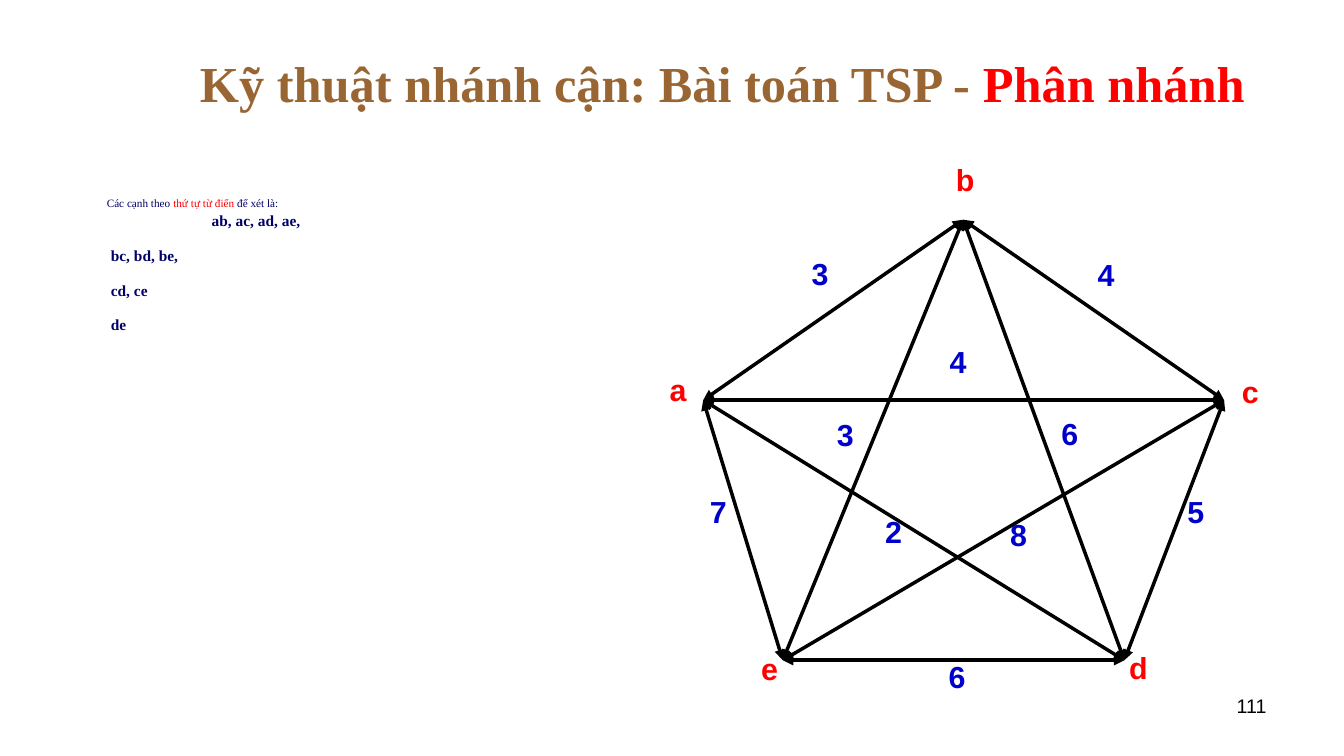
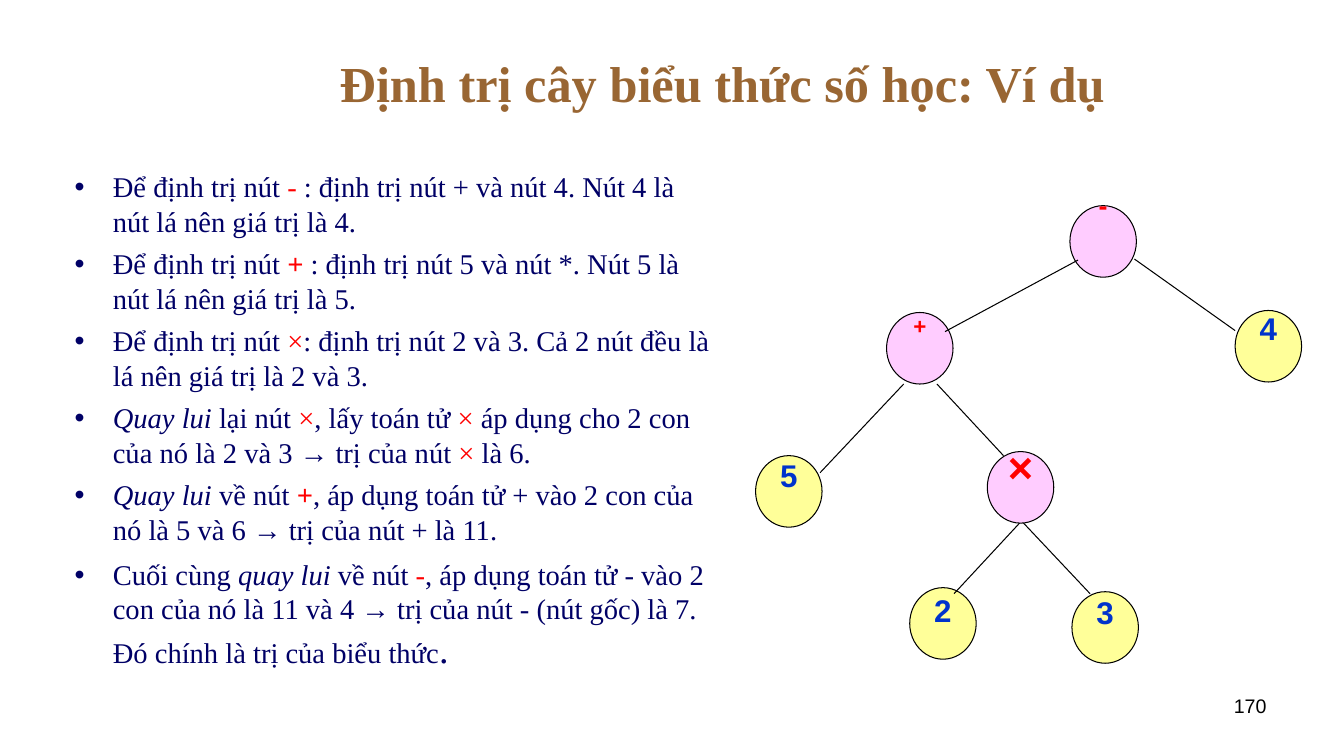
"""Build two slides on branch and bound and on evaluating an expression tree."""
import pptx
import pptx.dml.color
import pptx.enum.shapes
import pptx.enum.text
import pptx.oxml
import pptx.oxml.ns
import pptx.util

RGB = pptx.dml.color.RGBColor
BLACK = RGB(0x00, 0x00, 0x00)
BROWN = RGB(0x99, 0x66, 0x33)
NAVY = RGB(0x00, 0x00, 0x66)
RED = RGB(0xFF, 0x00, 0x00)
WEIGHT_BLUE = RGB(0x00, 0x00, 0xCC)
LEAF_BLUE = RGB(0x00, 0x33, 0xCC)
PINK = RGB(0xFF, 0xCC, 0xFF)
YELLOW = RGB(0xFF, 0xFF, 0x99)
SERIF, SANS = "Times New Roman", "Arial"
CENTER = pptx.enum.text.PP_ALIGN.CENTER
RIGHT = pptx.enum.text.PP_ALIGN.RIGHT
COLUMNS, ROWS = 133.4, 75


class Deck:
    """Hold the shared style and the current slide on a grid of tenths of an inch."""

    def __init__(self):
        self.show = pptx.Presentation()
        self.show.slide_width = self.cells(COLUMNS)
        self.show.slide_height = self.cells(ROWS)
        self.slide = None

    @staticmethod
    def cells(count):
        """Turn a number of grid cells into a length."""
        return pptx.util.Inches(count / 10)

    def place(self, part, left, top, width, height):
        """Move a part to its grid cells."""
        part.left, part.top = self.cells(left), self.cells(top)
        part.width, part.height = self.cells(width), self.cells(height)

    def style(self, run, font, size, color, bold=False, italic=False):
        """Format one run."""
        run.font.name, run.font.size = font, pptx.util.Pt(size)
        run.font.bold, run.font.italic = bold, italic
        run.font.color.rgb = color

    def add_pieces(self, paragraph, pieces, font, size, color, bold=False):
        """Add pieces of (text, flags): r red, b bold, i italic, L large."""
        for text, flags in pieces:
            run = paragraph.add_run()
            run.text = text
            self.style(run, font, size * 4 / 3 if "L" in flags else size,
                       RED if "r" in flags else color,
                       bold or "b" in flags, "i" in flags)

    def start(self, title, number):
        """Add a slide with its title and page number."""
        self.slide = self.show.slides.add_slide(self.show.slide_layouts[1])
        heading = self.slide.shapes.title
        self.place(heading, 16.7, 3, 110, 10.3)
        frame = heading.text_frame
        frame.auto_size = pptx.enum.text.MSO_AUTO_SIZE.NONE
        frame.vertical_anchor = pptx.enum.text.MSO_ANCHOR.MIDDLE
        frame.paragraphs[0].alignment = CENTER
        self.add_pieces(frame.paragraphs[0], title, SERIF, 36, BROWN, True)
        self.label(number, 95.6, 68.3, 31.1, 5.2, 14, BLACK, bold=False,
                   align=RIGHT, margins=(1, 0.5), spacing=1)

    def body(self, box, paragraphs, bullets):
        """Fill the body with (pieces, size, bold, indent, space before)."""
        holder = self.slide.placeholders[1]
        self.place(holder, *box)
        frame = holder.text_frame
        frame.auto_size = pptx.enum.text.MSO_AUTO_SIZE.NONE
        for index, (pieces, size, bold, indent, before) in enumerate(paragraphs):
            line = frame.add_paragraph() if index else frame.paragraphs[0]
            properties = line._p.get_or_add_pPr()
            properties.set("marL", str(self.cells(indent)))
            properties.set("indent", str(-self.cells(indent) if bullets else 0))
            line.space_before = pptx.util.Pt(before if index else 0)
            if not bullets:
                properties.append(pptx.oxml.parse_xml(
                    f"<a:buNone {pptx.oxml.ns.nsdecls('a')}/>"))
            self.add_pieces(line, pieces, SERIF, size, NAVY, bold)

    def label(self, text, left, top, width, height, size, color, bold=True,
              align=CENTER, margins=(0, 0), spacing=0.8):
        """Add a one-line text box."""
        box = self.slide.shapes.add_textbox(0, 0, 0, 0)
        self.place(box, left, top, width, height)
        frame = box.text_frame
        frame.word_wrap = True
        frame.margin_left = frame.margin_right = self.cells(margins[0])
        frame.margin_top = frame.margin_bottom = self.cells(margins[1])
        frame.text = text
        line = frame.paragraphs[0]
        line.alignment, line.line_spacing = align, spacing
        self.style(line.runs[0], SANS, size, color, bold)

    def edge(self, start, end, width=0.75, arrows=False):
        """Draw a straight line, with arrowheads at both ends if asked."""
        link = self.slide.shapes.add_connector(
            pptx.enum.shapes.MSO_CONNECTOR.STRAIGHT,
            *(self.cells(value) for value in (*start, *end)))
        link.line.color.rgb = BLACK
        link.line.width = pptx.util.Pt(width)
        namespace = pptx.oxml.ns.nsdecls("a")
        properties = link._element.spPr
        if arrows:
            outline = properties.get_or_add_ln()
            for tip in ("headEnd", "tailEnd"):
                outline.append(pptx.oxml.parse_xml(
                    f'<a:{tip} {namespace} type="triangle"/>'))
        properties.append(pptx.oxml.parse_xml(f"<a:effectLst {namespace}/>"))

    def node(self, left, top, symbol, drop, size, fill, color):
        """Draw a tree node with its symbol near the top."""
        circle = self.slide.shapes.add_shape(
            pptx.enum.shapes.MSO_SHAPE.OVAL, 0, 0, 0, 0)
        self.place(circle, left, top, 6.6, 7.1)
        circle.shadow.inherit = False
        circle.fill.solid()
        circle.fill.fore_color.rgb = fill
        circle.line.color.rgb = BLACK
        circle.line.width = pptx.util.Pt(0.75)
        self.label(symbol, left + 1.3, top + drop, 4, 3.7, size, color)


def branching(deck):
    """Show the weighted graph and the order of its edges."""
    deck.start([("Kỹ thuật nhánh cận: Bài toán TSP - ", ""), ("Phân nhánh", "r")], "111")
    intro = [("Các cạnh theo ", ""), ("thứ tự từ điển ", "r"), ("để xét là:", "")]
    deck.body((5.8, 19, 87.5, 10.1), [
        (intro, 8, False, 3.8, 0),
        ([("ab, ac, ad, ae,", "")], 11, True, 14.2, 1),
        *(([(edges, "")], 11, True, 4.2, 11.6)
          for edges in ("bc, bd, be,", "cd, ce", "de"))], bullets=False)
    vertices = {"a": (69.8, 39.7), "b": (95.6, 21.8), "c": (121.5, 39.7),
                "d": (111.6, 65.5), "e": (77.7, 65.5)}
    names = {"a": (66.3, 37.5), "b": (94.8, 16.7), "c": (123.1, 37.7),
             "d": (112, 65.1), "e": (75.4, 65.2)}
    weights = {"ab": ("3", 80.4, 26), "ac": ("4", 94.1, 34.7),
               "ad": ("2", 87.7, 51.6), "ae": ("7", 70.3, 49.6),
               "bc": ("4", 108.8, 26.1), "bd": ("6", 105.2, 41.9),
               "be": ("3", 82.9, 42), "cd": ("5", 117.7, 49.6),
               "ce": ("8", 100.1, 51.9), "de": ("6", 94, 66)}
    for weight, left, top in weights.values():
        deck.label(weight, left, top, 2, 4, 21.7, WEIGHT_BLUE)
    for name, corner in names.items():
        deck.label(name, *corner, 2, 4, 21.7, RED)
    for start, end in weights:
        deck.edge(vertices[start], vertices[end], 2.5, arrows=True)


def expression_tree(deck):
    """Show how an arithmetic tree is evaluated."""
    deck.start([("Ðịnh trị cây biểu thức số học: Ví dụ", "")], "170")
    steps = [
        [("Ðể định trị nút ", ""), ("-", "r"),
         (" : định trị nút + và nút 4. Nút 4 là nút lá nên giá trị là 4.", "")],
        [("Ðể định trị nút ", ""), ("+", "rb"),
         (" : định trị nút 5 và nút *. Nút 5 là nút lá nên giá trị là 5.", "")],
        [("Ðể định trị nút ", ""), ("×", "r"),
         (": định trị nút 2 và 3. Cả 2 nút đều là lá nên giá trị là 2 và 3.", "")],
        [("Quay lui ", "i"), ("lại nút ", ""), ("×", "r"), (", lấy toán tử ", ""),
         ("×", "r"), (" áp dụng cho 2 con của nó là 2 và 3 → trị của nút ", ""),
         ("×", "r"), (" là 6.", "")],
        [("Quay lui ", "i"), ("về nút ", ""), ("+", "rb"),
         (", áp dụng toán tử + vào 2 con của nó là 5 và 6 → trị của nút + là 11.", "")],
        [("Cuối cùng ", ""), ("quay lui ", "i"), ("về nút ", ""), ("-", "r"),
         (", áp dụng toán tử - vào 2 con của nó là 11 và 4 → trị của nút - "
          "(nút gốc) là 7. Ðó chính là trị của biểu thức", ""), (".", "L")]]
    last = len(steps) - 1
    deck.body((6.4, 16.3, 65.3, 52.4),
              [(step, 20.4, False, 3.8, 8 if index == last else 6)
               for index, step in enumerate(steps)], bullets=True)
    operators = [(106.2, 20.4, "-", -1.1, 19.2), (88, 31, "+", 0.5, 16),
                 (98, 44.8, "×", -0.1, 31)]
    leaves = [(122.6, 30.8, "4", 0.6), (75, 45.2, "5", 0.8),
              (90.3, 58.3, "2", 1.1), (106.4, 58.7, "3", 0.9)]
    for left, top, symbol, drop, size in operators:
        deck.node(left, top, symbol, drop, size, PINK, RED)
    for left, top, symbol, drop in leaves:
        deck.node(left, top, symbol, drop, 22.4, YELLOW, LEAF_BLUE)
    branches = [((107, 25.8), (93.8, 32.9)), ((112.6, 25.7), (122.6, 32.8)),
                ((89.7, 38.1), (81.4, 46.9)), ((93, 38.1), (99.6, 45.2)),
                ((101.2, 51.9), (94.7, 58.9)), ((101.6, 51.9), (108.2, 58.9))]
    for parent, child in branches:
        deck.edge(parent, child)


def main():
    """Build and save the deck."""
    deck = Deck()
    branching(deck)
    expression_tree(deck)
    deck.show.save("out.pptx")


if __name__ == "__main__":
    main()
